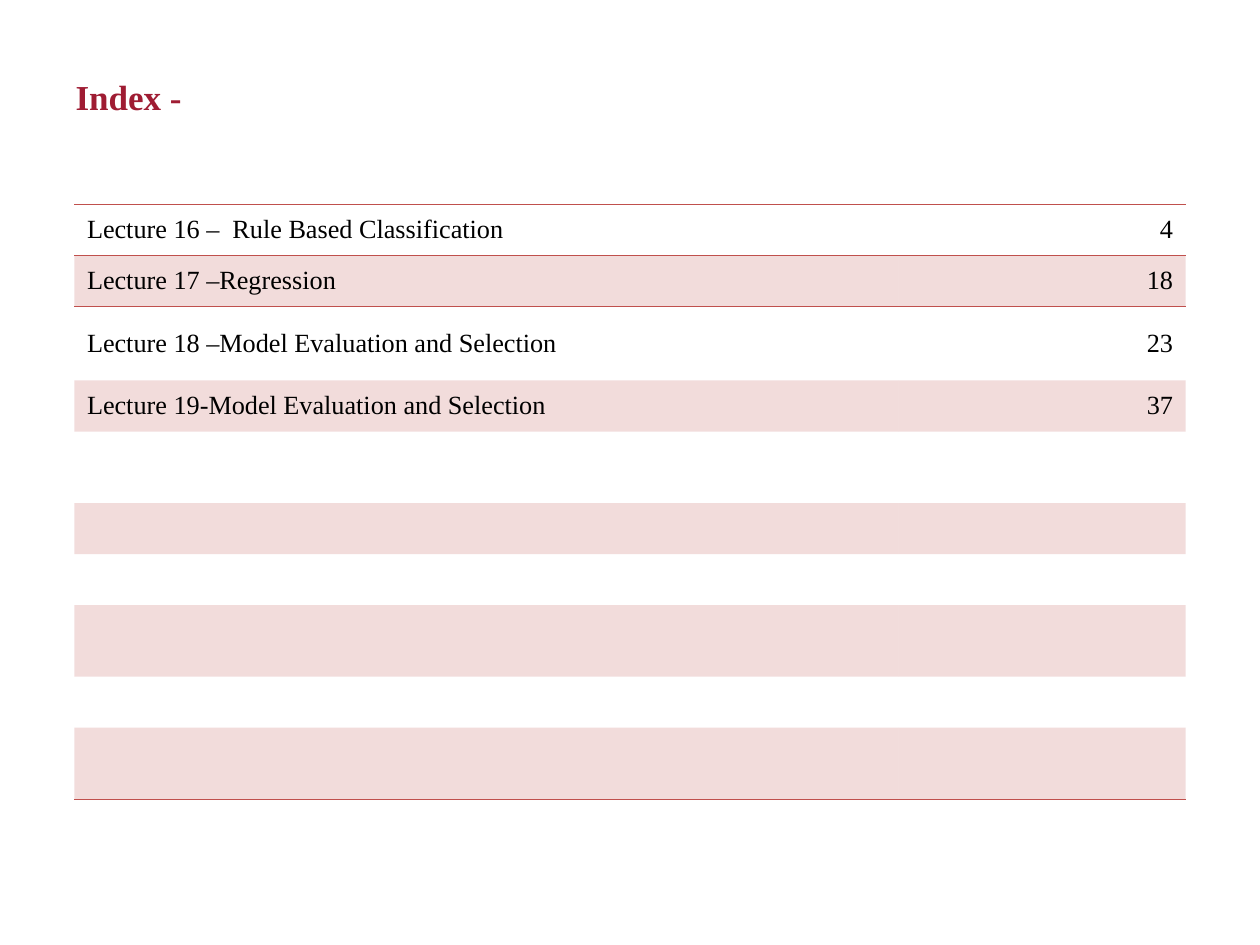
from dataclasses import dataclass

from lxml import etree
from pptx import Presentation
from pptx.dml.color import RGBColor
from pptx.enum import text
from pptx.oxml import ns
from pptx.util import Cm, Pt

CRIMSON = RGBColor(0x9F, 0x1C, 0x33)
BRICK = RGBColor(0xC0, 0x50, 0x4D)
BLACK = RGBColor(0, 0, 0)
FONT = "Times New Roman"
PLAIN_TABLE_STYLE = "{2D5ABB26-0587-4C30-8999-92F81FD0307C}"
BAND_ALPHA = 20
RULE_WIDTH = Pt(0.45)


@dataclass(frozen=True)
class IndexRow:
    height: float = 1.03
    lecture: str = ""
    page: str = ""
    rules: tuple[str, ...] = ()


INDEX_ROWS = [
    IndexRow(lecture="Lecture 16 –  Rule Based Classification", page="4", rules=("T", "B")),
    IndexRow(lecture="Lecture 17 –Regression", page="18", rules=("T",)),
    IndexRow(1.49, "Lecture 18 –Model Evaluation and Selection", "23"),
    IndexRow(lecture="Lecture 19-Model Evaluation and Selection", page="37"),
    IndexRow(1.44),
    IndexRow(),
    IndexRow(),
    IndexRow(1.44),
    IndexRow(),
    IndexRow(1.44, rules=("B",)),
]


def write(frame, content: str, *, size: float, color: RGBColor = BLACK,
          bold: bool = False, align=text.PP_ALIGN.LEFT) -> None:
    paragraph = frame.paragraphs[0]
    paragraph.alignment = align
    run = paragraph.add_run()
    run.text = content
    run.font.name = FONT
    run.font.size = Pt(size)
    run.font.bold = bold
    run.font.color.rgb = color


def add_rule(cell, side: str) -> None:
    properties = cell._tc.get_or_add_tcPr()
    line = etree.SubElement(properties, ns.qn(f"a:ln{side}"), w=str(RULE_WIDTH))
    fill = etree.SubElement(line, ns.qn("a:solidFill"))
    etree.SubElement(fill, ns.qn("a:srgbClr"), val=str(BRICK))


def fill_band(cell) -> None:
    cell.fill.solid()
    cell.fill.fore_color.rgb = BRICK
    color = cell._tc.tcPr.find(ns.qn("a:solidFill")).find(ns.qn("a:srgbClr"))
    etree.SubElement(color, ns.qn("a:alpha"), val=str(BAND_ALPHA * 1000))


def draw_cell(cell, content: str, align, rules: tuple[str, ...], banded: bool) -> None:
    cell.vertical_anchor = text.MSO_ANCHOR.MIDDLE
    if content:
        write(cell.text_frame, content, size=15, align=align)
    for side in rules:
        add_rule(cell, side)
    if banded:
        fill_band(cell)
    else:
        cell.fill.background()


def draw_index(slide, rows: list[IndexRow]) -> None:
    height = Cm(sum(row.height for row in rows))
    index = slide.shapes.add_table(len(rows), 2, Cm(1.5), Cm(4.12), Cm(22.4), height).table
    index.first_row = False
    index.horz_banding = False
    index._tbl.tblPr.find(ns.qn("a:tableStyleId")).text = PLAIN_TABLE_STYLE
    index.columns[0].width = Cm(16.61)
    index.columns[1].width = Cm(5.79)
    for number, row in enumerate(rows):
        index.rows[number].height = Cm(row.height)
        banded = number % 2 == 1
        draw_cell(index.cell(number, 0), row.lecture, text.PP_ALIGN.LEFT, row.rules, banded)
        draw_cell(index.cell(number, 1), row.page, text.PP_ALIGN.RIGHT, row.rules, banded)


def draw_heading(slide, content: str) -> None:
    heading = slide.shapes.title
    heading.left, heading.top = Cm(1.27), Cm(0.76)
    heading.width, heading.height = Cm(22.86), Cm(2.36)
    heading.text_frame.vertical_anchor = text.MSO_ANCHOR.MIDDLE
    write(heading.text_frame, content, size=20, color=CRIMSON, bold=True)


def main() -> None:
    deck = Presentation()
    deck.slide_width, deck.slide_height = Cm(25.4), Cm(19.05)
    slide = deck.slides.add_slide(deck.slide_layouts[5])
    draw_heading(slide, "Index -")
    draw_index(slide, INDEX_ROWS)
    deck.save("out.pptx")


if __name__ == "__main__":
    main()
